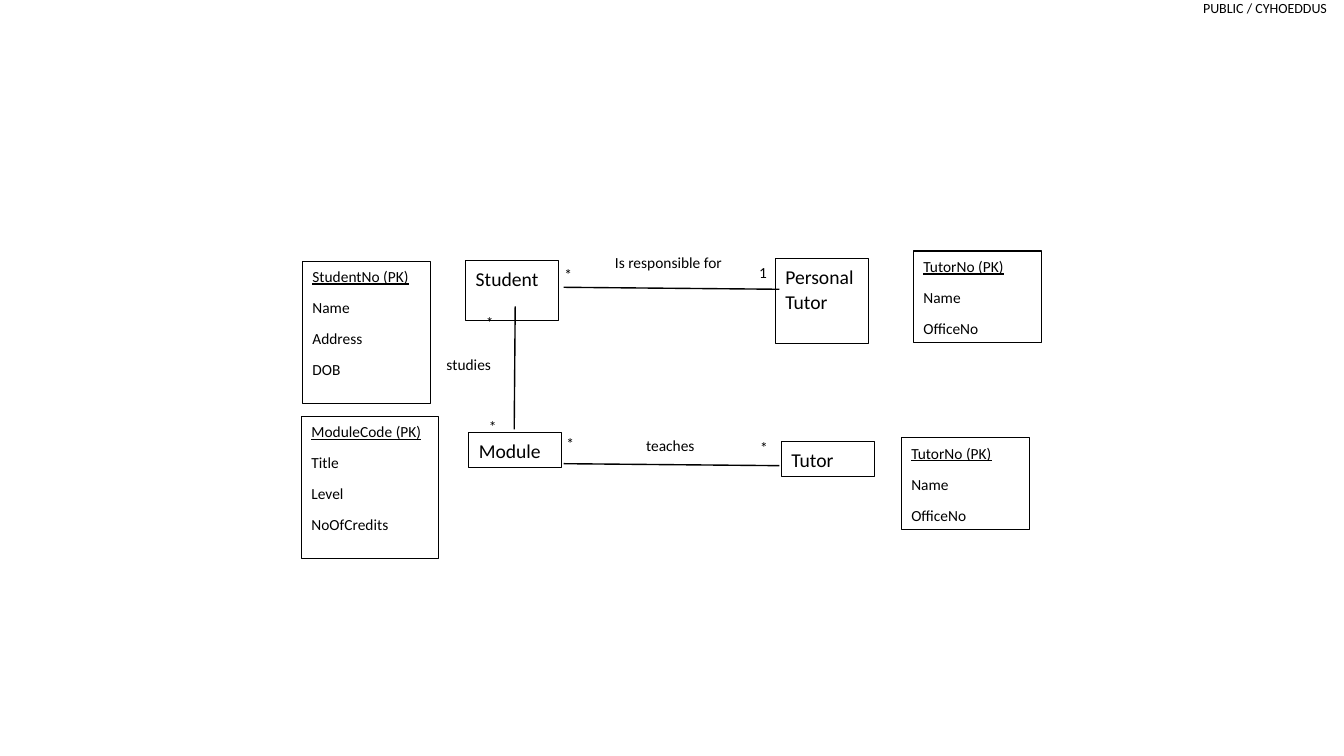
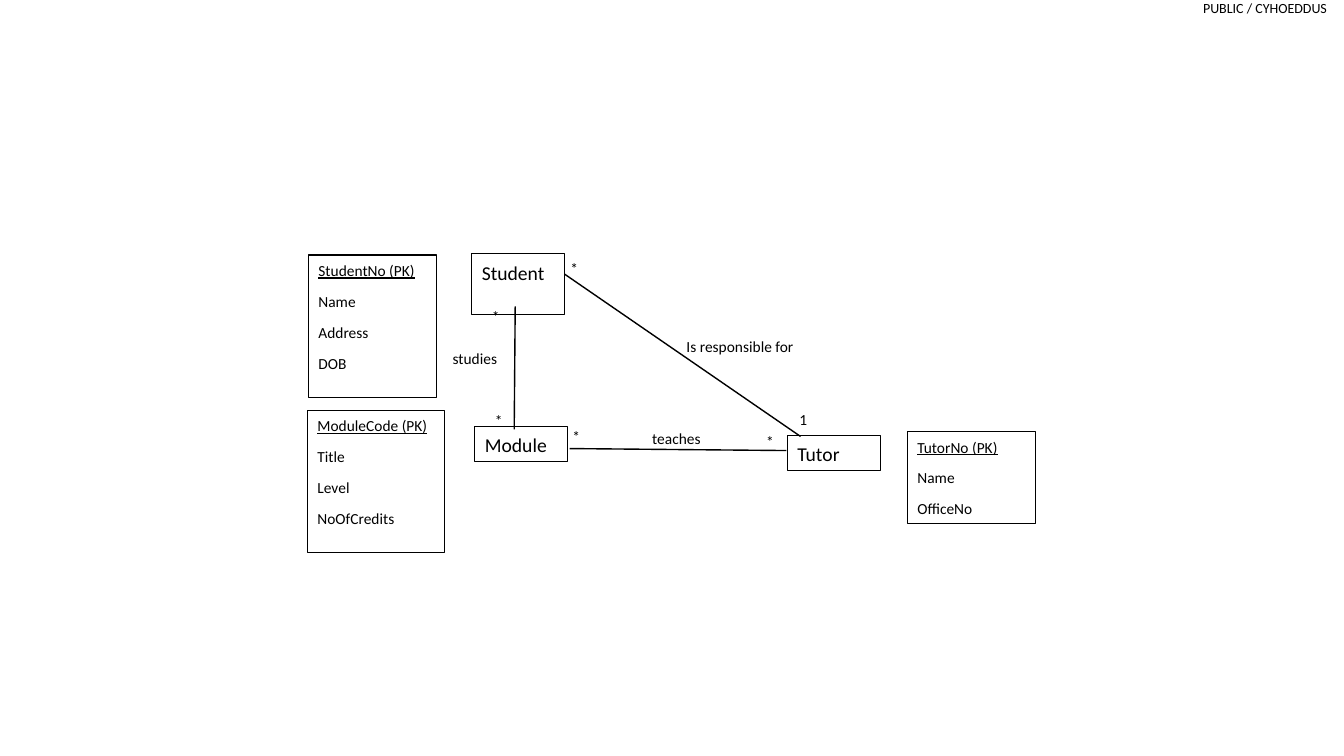
from pptx import Presentation
from pptx.dml.color import RGBColor
from pptx.enum.shapes import MSO_CONNECTOR as Conn, MSO_SHAPE as Shape
from pptx.enum.text import MSO_ANCHOR as Anchor, PP_ALIGN as Align
from pptx.util import Inches, Pt
from lxml import etree

INK, PAPER, FONT = "000000", "FFFFFF", "Calibri"
NS = "http://schemas.openxmlformats.org/drawingml/2006/main"


def color(code):
    return RGBColor.from_string(code)


class Deck:
    """Holds the style, the current slide and the offset of its diagram."""

    def __init__(self):
        self.prs = Presentation()
        self.prs.slide_width = Inches(13.33)
        self.prs.slide_height = Inches(7.5)

    def start(self, dx=0, dy=0):
        self.slide = self.prs.slides.add_slide(self.prs.slide_layouts[6])
        self.dx, self.dy = 0, 0
        self.header()
        self.dx, self.dy = dx, dy

    def place(self, x, y, w, h):
        return [Inches(n) for n in (x + self.dx, y + self.dy, w, h)]

    def fill(self, shape, text, size):
        frame = shape.text_frame
        frame.word_wrap = True
        frame.text = text
        for par in frame.paragraphs:
            par.alignment = Align.LEFT
            par.line_spacing, par.space_after = 1.07, Pt(8)
            for run in par.runs:
                run.font.name, run.font.size = FONT, Pt(size)
                run.font.color.rgb = color(INK)
        return frame

    def header(self):
        box = self.slide.shapes.add_textbox(*self.place(11.9, 0, 1.26, 0.33))
        frame = self.fill(box, "PUBLIC / CYHOEDDUS", 10)
        frame.margin_left = frame.margin_right = 0
        frame.margin_top = frame.margin_bottom = 0
        par = frame.paragraphs[0]
        par.alignment, par.line_spacing, par.space_after = Align.RIGHT, 1.0, Pt(0)

    def box(self, text, x, y, w, h, size=14):
        rect = self.slide.shapes.add_shape(Shape.RECTANGLE, *self.place(x, y, w, h))
        rect.shadow.inherit = False
        rect.fill.solid()
        rect.fill.fore_color.rgb = color(PAPER)
        rect.line.color.rgb = color(INK)
        rect.line.width = Pt(0.75)
        frame = self.fill(rect, text, size)
        frame.vertical_anchor = Anchor.TOP
        return frame

    def entity(self, name, x, y, h=0.35):
        self.box(name, x, y, 0.92, h)

    def fields(self, names, x, y, w=1.27, h=1.41):
        frame = self.box("\n".join(names), x, y, w, h, 11)
        frame.paragraphs[0].runs[0].font.underline = True

    def label(self, text, x, y, w=0.3, h=0.32):
        box = self.slide.shapes.add_textbox(*self.place(x, y, w, h))
        self.fill(box, text, 11)

    def link(self, *ends):
        line = self.slide.shapes.add_connector(Conn.STRAIGHT, *map(Inches, ends))
        line.line.color.rgb = color(INK)
        line.line.width = Pt(1)
        etree.SubElement(line._element.spPr, f"{{{NS}}}effectLst")

    # The part of the data model that both slides show
    def model(self):
        self.entity("Student", 4.62, 2.58, 0.6)
        self.entity("Tutor", 7.75, 4.38)
        self.entity("Module", 4.65, 4.29)
        self.fields(["StudentNo (PK)", "Name", "Address", "DOB"], 3, 2.59)
        self.fields(["ModuleCode (PK)", "Title", "Level", "NoOfCredits"],
                    2.99, 4.13, w=1.36)
        self.tutor(8.94, 4.34)
        self.link(5.11, 3.04, 5.1, 4.26)
        self.label("teaches", 6.31, 4.26, 0.78, 0.49)
        self.label("studies", 4.33, 3.46, 0.78)
        for x, y in ((5.5, 2.57), (4.72, 3.04), (4.75, 4.08),
                     (7.44, 4.28), (5.52, 4.24)):
            self.label("*", x, y)

    def tutor(self, x, y):
        self.fields(["TutorNo (PK)", "Name", "OfficeNo"], x, y, h=0.91)

    def duty(self, x, y, one_x, one_y):
        self.label("Is responsible for", x, y, 1.31, 0.49)
        self.label("1", one_x, one_y)


def main():
    deck = Deck()

    # Slide 1: personal tutor as an entity of its own
    deck.start()
    deck.model()
    deck.entity("Personal Tutor", 7.69, 2.56, 0.85)
    deck.tutor(9.06, 2.49)
    deck.link(5.59, 2.85, 7.73, 2.87)
    deck.link(5.59, 4.6, 7.73, 4.62)
    deck.duty(6, 2.45, 7.43, 2.55)

    # Slide 2: both roles held by one tutor entity
    deck.start(0.06, -0.06)
    deck.model()
    deck.link(5.6, 2.72, 7.94, 4.33)
    deck.link(5.65, 4.45, 7.8, 4.47)
    deck.duty(6.65, 3.34, 7.77, 4.07)

    deck.prs.save("out.pptx")


if __name__ == "__main__":
    main()
